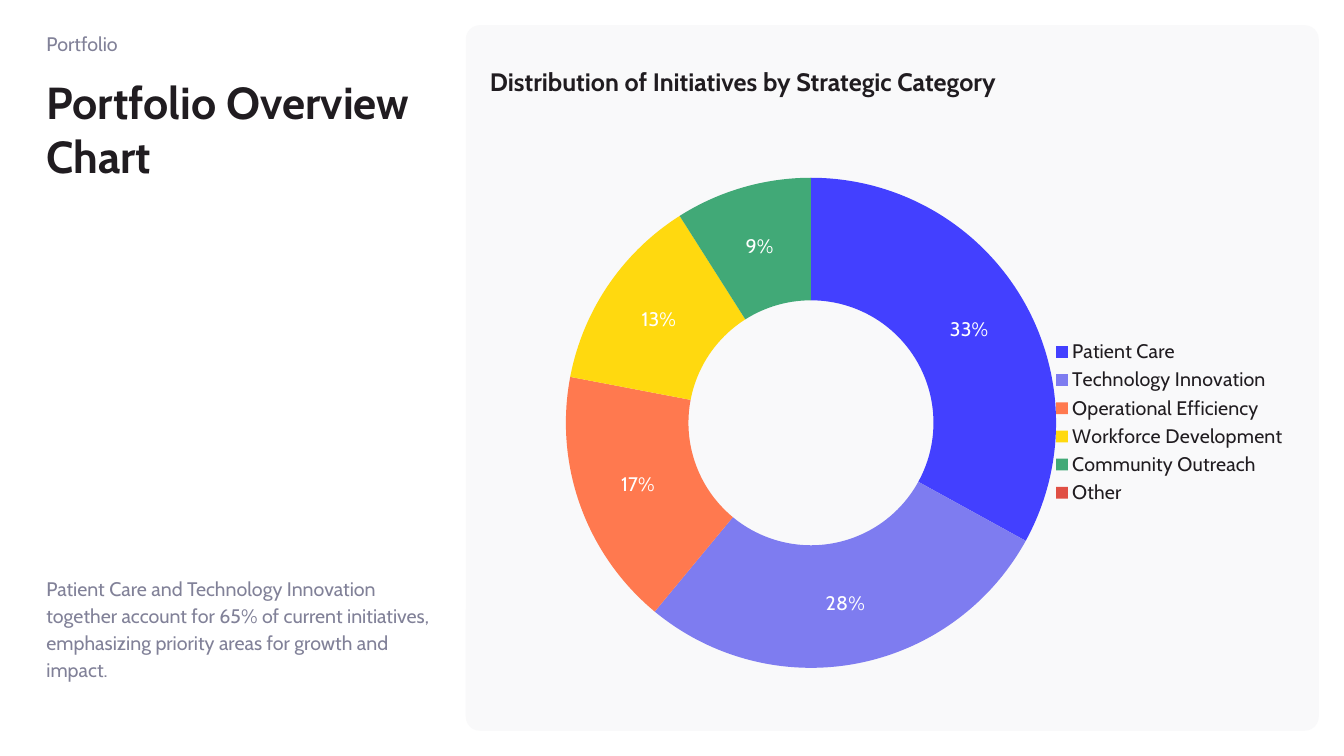
import pptx
import pptx.chart.data
import pptx.dml.color
import pptx.enum.chart
import pptx.enum.shapes
import pptx.enum.text
import pptx.oxml
import pptx.oxml.ns
import pptx.util
from pptx.util import Inches

RGBColor = pptx.dml.color.RGBColor
ANCHOR = pptx.enum.text.MSO_ANCHOR

FONT = "Cabin"
INK = RGBColor(0x20, 0x1C, 0x20)
MUTED = RGBColor(0x81, 0x81, 0x98)
PANEL = RGBColor(0xF9, 0xF9, 0xFA)
WHITE = RGBColor(0xFF, 0xFF, 0xFF)

CATEGORIES = [
    ("Patient Care", 33, RGBColor(0x43, 0x40, 0xFF)),
    ("Technology Innovation", 28, RGBColor(0x7E, 0x7C, 0xF0)),
    ("Operational Efficiency", 17, RGBColor(0xFF, 0x79, 0x4F)),
    ("Workforce Development", 13, RGBColor(0xFF, 0xD9, 0x0F)),
    ("Community Outreach", 9, RGBColor(0x41, 0xA9, 0x77)),
    ("Other", None, RGBColor(0xE0, 0x4F, 0x44)),
]
PLOT_AREA = {"x": 0.094, "y": 0.038, "w": 0.607, "h": 0.926}


def format_font(font, size, color, bold=False):
    font.name = FONT
    font.size = pptx.util.Pt(size)
    font.bold = bold
    font.color.rgb = color


def place(sp, left, top, width, height):
    sp.left, sp.top = Inches(left), Inches(top)
    sp.width, sp.height = Inches(width), Inches(height)


def write_text(sp, text, size=14, color=MUTED, bold=False, anchor=ANCHOR.TOP,
               line_spacing=1.0, space_before=0):
    tf = sp.text_frame
    tf.word_wrap = True
    tf.auto_size = pptx.enum.text.MSO_AUTO_SIZE.NONE
    tf.vertical_anchor = anchor
    tf.margin_left = 0
    tf.margin_right = Inches(0.1)
    tf.margin_top = tf.margin_bottom = Inches(0.05)
    p = tf.paragraphs[0]
    p.alignment = pptx.enum.text.PP_ALIGN.LEFT
    p.line_spacing = line_spacing
    p.space_before = pptx.util.Pt(space_before)
    r = p.add_run()
    r.text = text
    format_font(r.font, size, color, bold)
    return p


def remove_bullet(p):
    pPr = p._p.get_or_add_pPr()
    pPr.set("marL", "0")
    pPr.set("indent", "0")
    pPr.append(pptx.oxml.parse_xml(
        f"<a:buNone {pptx.oxml.ns.nsdecls('a')}/>"))


def set_plot_layout(chart):
    """Fix the inner plot area at fractions of the chart frame."""
    plot_area = chart._chartSpace.chart.plotArea
    for old in plot_area.findall(pptx.oxml.ns.qn("c:layout")):
        plot_area.remove(old)
    modes = "".join(f'<c:{k}Mode val="edge"/>' for k in "xy")
    sizes = "".join(f'<c:{k} val="{v}"/>' for k, v in PLOT_AREA.items())
    plot_area.insert(0, pptx.oxml.parse_xml(
        f"<c:layout {pptx.oxml.ns.nsdecls('c')}><c:manualLayout>"
        f'<c:layoutTarget val="inner"/>{modes}{sizes}'
        "</c:manualLayout></c:layout>"))


def add_doughnut(slide, left, top, width, height):
    data = pptx.chart.data.CategoryChartData()
    data.categories = [name for name, _, _ in CATEGORIES]
    data.add_series("Series 1", [value for _, value, _ in CATEGORIES])
    chart = slide.shapes.add_chart(
        pptx.enum.chart.XL_CHART_TYPE.DOUGHNUT, Inches(left), Inches(top),
        Inches(width), Inches(height), data).chart
    format_font(chart.font, 14, INK)
    chart.has_title = False
    chart.has_legend = True
    chart.legend.position = pptx.enum.chart.XL_LEGEND_POSITION.RIGHT
    chart.legend.include_in_layout = False
    format_font(chart.legend.font, 14, INK)

    plot = chart.plots[0]
    plot.vary_by_categories = True
    plot._element.find(pptx.oxml.ns.qn("c:holeSize")).set("val", "75")
    series = plot.series[0]
    for i, (_, _, color) in enumerate(CATEGORIES):
        fmt = series.points[i].format
        fmt.fill.solid()
        fmt.fill.fore_color.rgb = color
        fmt.line.fill.background()
    labels = series.data_labels
    labels.show_percentage = True
    labels.show_value = False
    labels.number_format = "0%"
    labels.number_format_is_linked = False
    format_font(labels.font, 14, WHITE)
    set_plot_layout(chart)


def add_summary_column(slide, left, top, width, height):
    tag = slide.shapes.add_textbox(
        Inches(left), Inches(top), Inches(width), Inches(0.45))
    write_text(tag, "Portfolio")

    half = (height - 0.42) / 2
    title = slide.shapes.title
    place(title, left, top + 0.42, width, half)
    write_text(title, "Portfolio Overview Chart", size=32, color=INK, bold=True)

    body = slide.placeholders[1]
    place(body, left, top + 0.42 + half, width, half)
    p = write_text(
        body,
        "Patient Care and Technology Innovation together account for 65% of "
        "current initiatives, emphasizing priority areas for growth and impact.",
        anchor=ANCHOR.BOTTOM, line_spacing=1.14, space_before=12)
    remove_bullet(p)


def add_chart_panel(slide, left, top, width, height):
    panel = slide.shapes.add_shape(
        pptx.enum.shapes.MSO_SHAPE.ROUNDED_RECTANGLE,
        Inches(left), Inches(top), Inches(width), Inches(height))
    panel.adjustments[0] = 0.02
    panel.shadow.inherit = False
    panel.fill.solid()
    panel.fill.fore_color.rgb = PANEL
    panel.line.fill.background()

    inner_left, inner_width = left + 0.24, width - 0.45
    add_doughnut(slide, inner_left, top + 1.13, inner_width, height - 1.38)
    heading = slide.shapes.add_textbox(
        Inches(inner_left), Inches(top + 0.21), Inches(inner_width), Inches(0.7))
    write_text(heading, "Distribution of Initiatives by Strategic Category",
               size=18, color=INK, bold=True, line_spacing=1.5, space_before=12)


def main():
    prs = pptx.Presentation()
    prs.slide_width, prs.slide_height = Inches(13.33), Inches(7.5)
    slide = prs.slides.add_slide(prs.slide_layouts[1])
    add_chart_panel(slide, 4.62, 0.25, 8.46, 7)
    add_summary_column(slide, 0.46, 0.27, 3.92, 6.54)
    prs.save("out.pptx")


if __name__ == "__main__":
    main()
